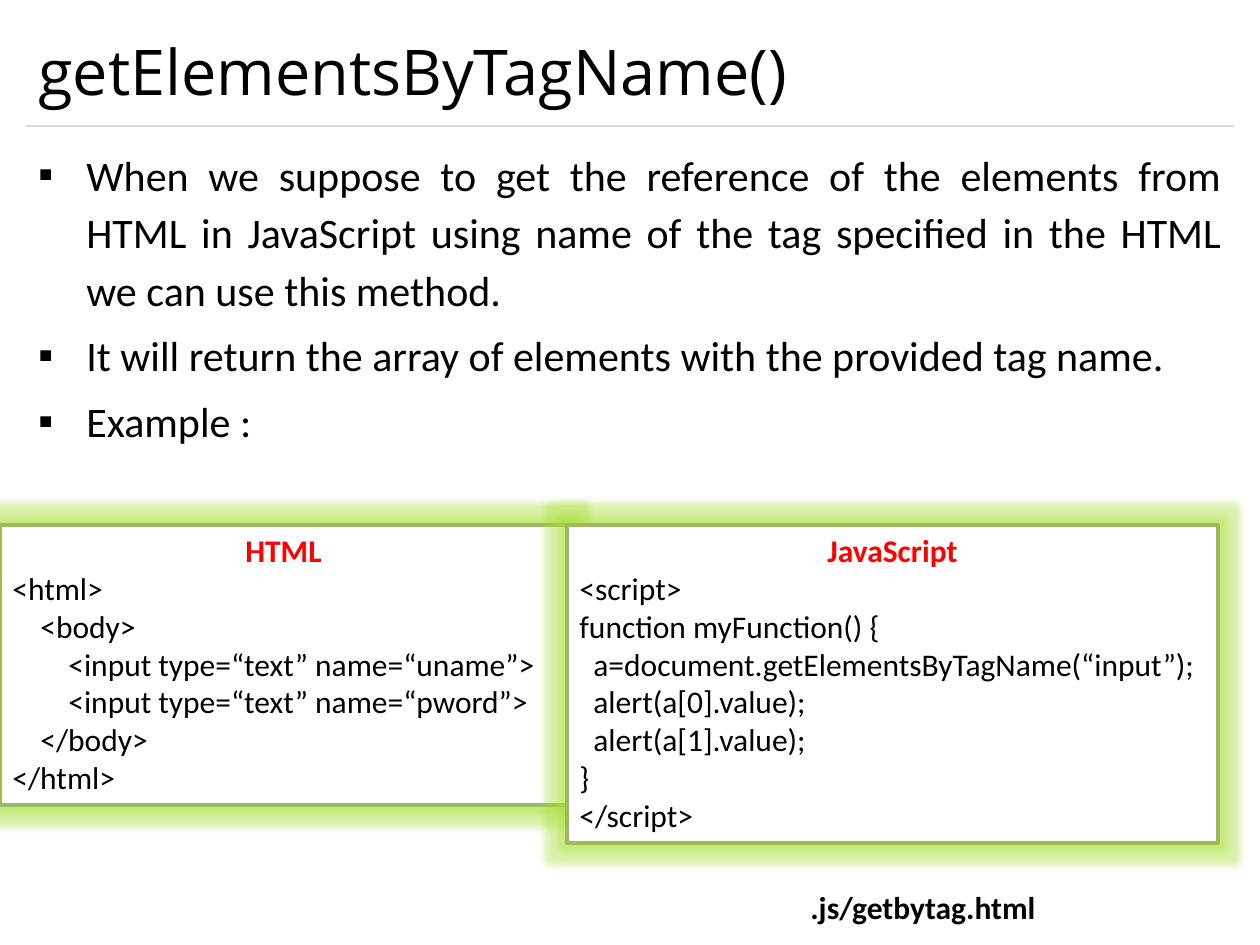
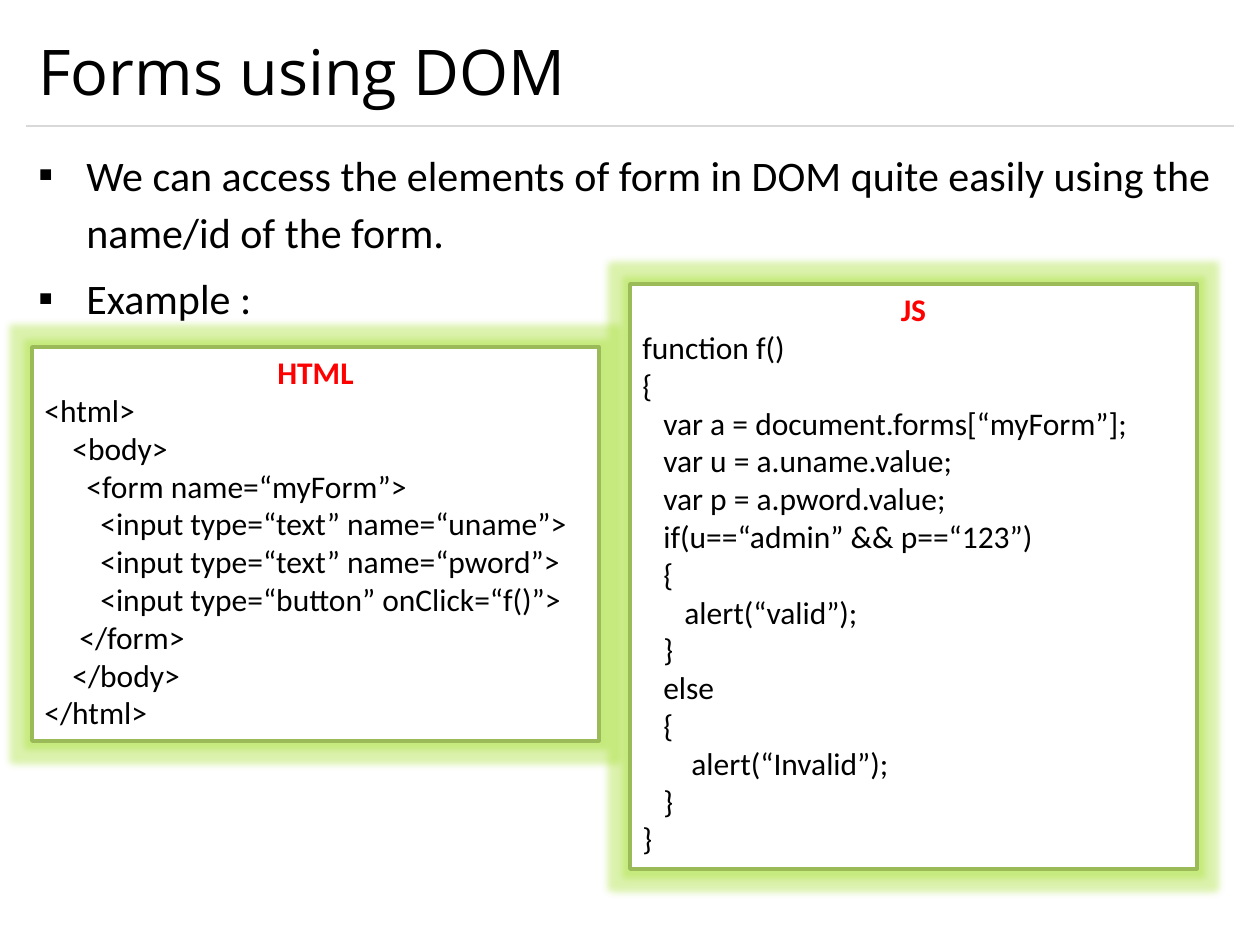
import pptx
import pptx.util
import pptx.dml.color
import pptx.enum.shapes
import pptx.enum.text
import pptx.oxml
import pptx.oxml.ns
from lxml import etree

Color = pptx.dml.color.RGBColor
Align = pptx.enum.text.PP_ALIGN
Anchor = pptx.enum.text.MSO_ANCHOR
Fit = pptx.enum.text.MSO_AUTO_SIZE

BLACK = Color(0, 0, 0)
WHITE = Color(255, 255, 255)
RED = Color(255, 0, 0)
GREEN = Color(0x9B, 0xBB, 0x59)
GLOW = Color(0xA7, 0xDF, 0x34)
GRAY = Color(0xD9, 0xD9, 0xD9)

NS = pptx.oxml.ns.nsdecls("a")
WIDE, HIGH = 1260, 945
LEFT, SPAN = 26, 1208
HANG = 48
STEP = 7  # code indent for each leading space

TAG_HTML = """<html>
    <body>
        <input type=“text” name=“uname”>
        <input type=“text” name=“pword”>
    </body>
</html>"""

TAG_JS = """<script>
function myFunction() {
  a=document.getElementsByTagName(“input”);
  alert(a[0].value);
  alert(a[1].value);
}
</script>"""

FORM_HTML = """<html>
    <body>
      <form name=“myForm”>
        <input type=“text” name=“uname”>
        <input type=“text” name=“pword”>
        <input type=“button” onClick=“f()”>
     </form>
    </body>
</html>"""

FORM_JS = """function f()
{
   var a = document.forms[“myForm”];
   var u = a.uname.value;
   var p = a.pword.value;
   if(u==“admin” && p==“123”)
   {
      alert(“valid”);
   }
   else
   {
       alert(“Invalid”);
   }
}"""


def px(count):
    return pptx.util.Emu(round(count * 914400 / 126))


class Deck:
    def __init__(self):
        self.show = pptx.Presentation()
        self.show.slide_width, self.show.slide_height = px(WIDE), px(HIGH)
        self.slide = None

    def page(self, title):
        """Start a slide with its rule and title."""
        self.slide = self.show.slides.add_slide(self.show.slide_layouts[6])
        self.rule(LEFT, 126, SPAN)
        frame = self.frame(LEFT, 15, SPAN, 111)
        frame.vertical_anchor = Anchor.MIDDLE
        self.put(frame.paragraphs[0], title, 36, face="Open Sans")

    def rule(self, left, top, width):
        kind = pptx.enum.shapes.MSO_CONNECTOR.STRAIGHT
        line = self.slide.shapes.add_connector(
            kind, px(left), px(top), px(left + width), px(top))
        line.line.color.rgb = GRAY
        line.line.width = pptx.util.Pt(0.75)
        etree.SubElement(line._element.spPr, pptx.oxml.ns.qn("a:effectLst"))

    def frame(self, left, top, width, height):
        box = self.slide.shapes.add_textbox(
            px(left), px(top), px(width), px(height))
        box.text_frame.word_wrap = True
        return box.text_frame

    def put(self, para, text, size, color=BLACK, bold=False, face="Calibri"):
        """Fill one paragraph and set its font."""
        para.text = text
        para.font.size = pptx.util.Pt(size)
        para.font.name = face
        para.font.bold = bold
        para.font.color.rgb = color

    def lines(self, frame, count):
        """Return the given number of paragraphs of an empty frame."""
        for _ in range(count - 1):
            frame.add_paragraph()
        return frame.paragraphs

    def points(self, texts, align=Align.LEFT):
        frame = self.frame(LEFT, 136, SPAN, 735)
        for para, text in zip(self.lines(frame, len(texts)), texts):
            self.put(para, text, 24)
            para.alignment = align
            para.line_spacing = 1.14
            para.space_before = pptx.util.Pt(4.8)
            self.bullet(para)

    def bullet(self, para):
        props = para._p.get_or_add_pPr()
        props.set("marL", str(px(HANG)))
        props.set("indent", str(px(-HANG)))
        for mark in (f'<a:buClr {NS}><a:srgbClr val="{BLACK}"/></a:buClr>',
                     f'<a:buFont {NS} typeface="Calibri"/>',
                     f'<a:buChar {NS} char="▪"/>'):
            props.insert_element_before(
                pptx.oxml.parse_xml(mark), "a:tabLst", "a:defRPr")

    def code(self, left, top, width, height, head, text):
        """Draw a glowing box with a red heading over code lines."""
        box = self.slide.shapes.add_shape(
            pptx.enum.shapes.MSO_SHAPE.RECTANGLE,
            px(left), px(top), px(width), px(height))
        box.shadow.inherit = False
        box.fill.solid()
        box.fill.fore_color.rgb = WHITE
        box.line.color.rgb = GREEN
        box.line.width = pptx.util.Pt(2)
        self.glow(box)
        frame = box.text_frame
        frame.word_wrap = True
        frame.auto_size = Fit.SHAPE_TO_FIT_TEXT
        frame.vertical_anchor = Anchor.TOP
        rows = text.split("\n")
        paras = self.lines(frame, len(rows) + 1)
        self.put(paras[0], head, 18, RED, True)
        paras[0].alignment = Align.CENTER
        for para, row in zip(paras[1:], rows):
            bare = row.lstrip()
            self.put(para, bare, 18)
            para.alignment = Align.LEFT
            pad = STEP * (len(row) - len(bare))
            para._p.get_or_add_pPr().set("marL", str(px(pad)))

    def glow(self, box):
        effects = box._element.spPr.find(pptx.oxml.ns.qn("a:effectLst"))
        effects.append(pptx.oxml.parse_xml(
            f'<a:glow {NS} rad="{pptx.util.Pt(8)}"><a:srgbClr val="{GLOW}">'
            '<a:alpha val="40000"/></a:srgbClr></a:glow>'))

    def label(self, left, top, width, height, text):
        frame = self.frame(left, top, width, height)
        frame.auto_size = Fit.SHAPE_TO_FIT_TEXT
        self.put(frame.paragraphs[0], text, 18, bold=True)


def main():
    deck = Deck()

    deck.page("getElementsByTagName()")
    deck.points([
        "When we suppose to get the reference of the elements from HTML in "
        "JavaScript using name of the tag specified in the HTML we can use "
        "this method.",
        "It will return the array of elements with the provided tag name.",
        "Example :",
    ], Align.JUSTIFY)
    deck.code(0, 525, 567, 280, "HTML", TAG_HTML)
    deck.code(567, 525, 651, 318, "JavaScript", TAG_JS)
    deck.label(798, 882, 305, 50, ".js/getbytag.html")

    deck.page("Forms using DOM")
    deck.points([
        "We can access the elements of form in DOM quite easily using the "
        "name/id of the form.",
        "Example :",
    ])
    deck.code(32, 347, 567, 394, "HTML", FORM_HTML)
    deck.code(630, 284, 567, 585, "JS", FORM_JS)

    deck.show.save("out.pptx")


if __name__ == "__main__":
    main()
